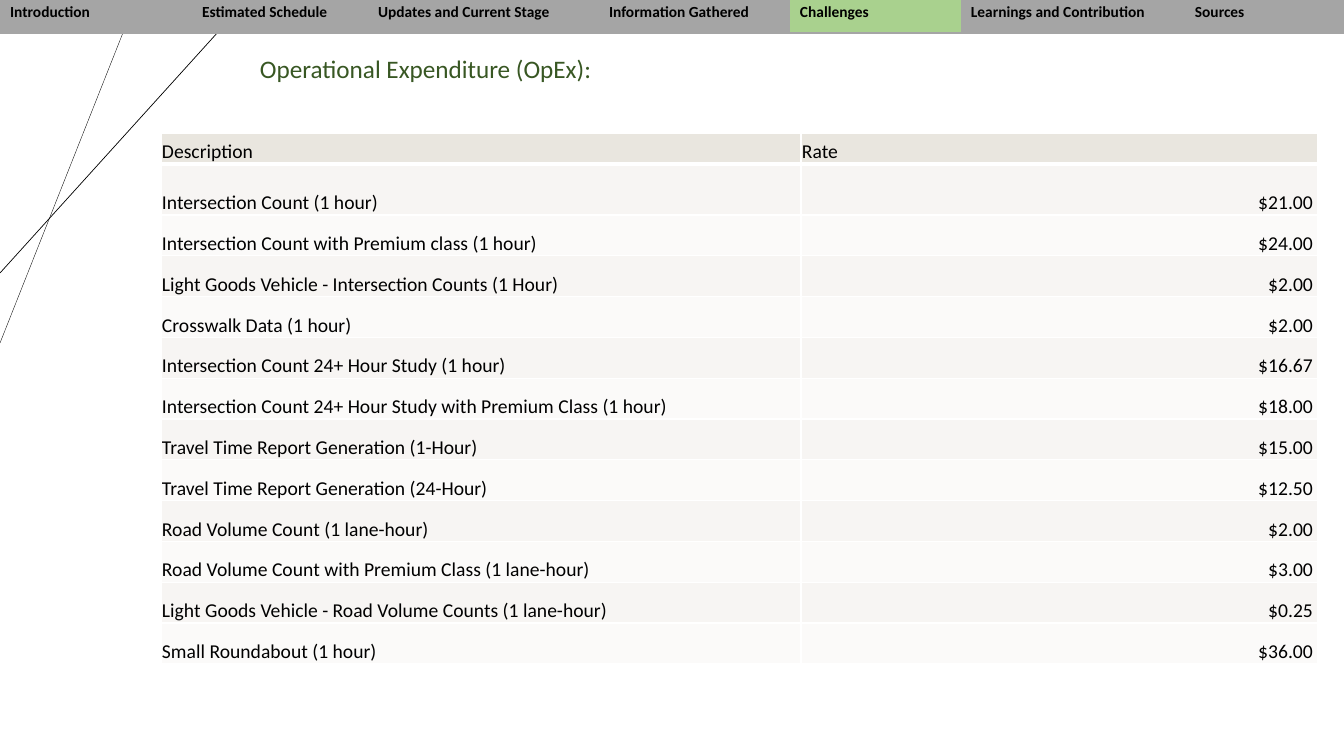
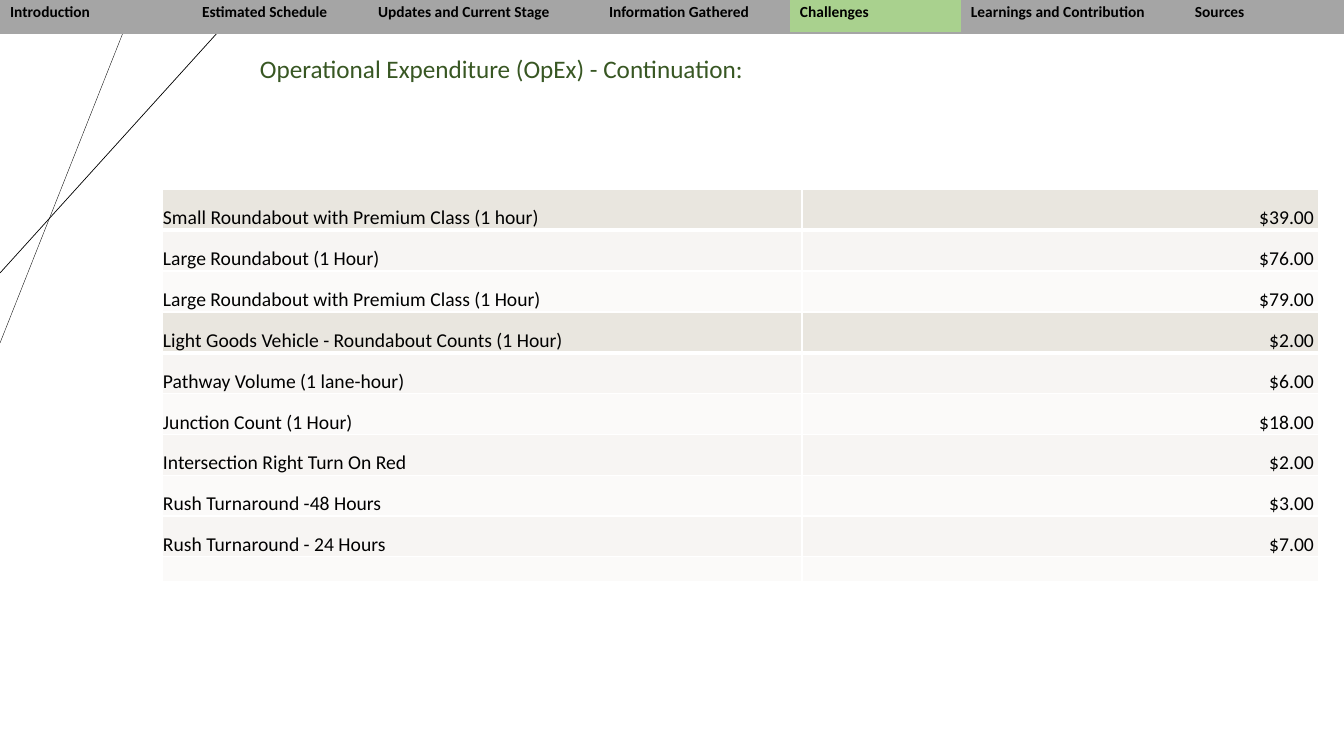
from lxml.etree import SubElement
from pptx import Presentation
from pptx.dml.color import RGBColor
from pptx.enum.shapes import MSO_CONNECTOR
from pptx.enum.text import MSO_ANCHOR, PP_ALIGN
from pptx.oxml.ns import qn
from pptx.util import Pt

PX = 914400 / 100.8
FONT = "Calibri"
BLACK, WHITE, GREEN = "000000", "FFFFFF", "385723"
BAR, ACTIVE = "A5A5A5", "A9D18E"
HEADER, BANDS = "E9E6DF", ("F7F5F3", "FBFAF9")
NAV = [("Introduction", 192), ("Estimated Schedule", 176),
       ("Updates and Current Stage", 231), ("Information Gathered", 191),
       ("Challenges", 171), ("Learnings and Contribution", 224), ("Sources", 160)]
COLUMNS = (640, 517)

OPEX = [
    ("Description", "Rate"),
    ("Intersection Count (1 hour)", "$21.00"),
    ("Intersection Count with Premium class (1 hour)", "$24.00"),
    ("Light Goods Vehicle - Intersection Counts (1 Hour)", "$2.00"),
    ("Crosswalk Data (1 hour)", "$2.00"),
    ("Intersection Count 24+ Hour Study (1 hour)", "$16.67"),
    ("Intersection Count 24+ Hour Study with Premium Class (1 hour)", "$18.00"),
    ("Travel Time Report Generation (1-Hour)", "$15.00"),
    ("Travel Time Report Generation (24-Hour)", "$12.50"),
    ("Road Volume Count (1 lane-hour)", "$2.00"),
    ("Road Volume Count with Premium Class (1 lane-hour)", "$3.00"),
    ("Light Goods Vehicle - Road Volume Counts (1 lane-hour)", "$0.25"),
    ("Small Roundabout (1 hour)", "$36.00"),
]
ROUNDABOUTS = [
    ("Small Roundabout with Premium Class (1 hour)", "$39.00"),
    ("Large Roundabout (1 Hour)", "$76.00"),
    ("Large Roundabout with Premium Class (1 Hour)", "$79.00"),
]
OTHER_COUNTS = [
    ("Light Goods Vehicle - Roundabout Counts (1 Hour)", "$2.00"),
    ("Pathway Volume (1 lane-hour)", "$6.00"),
    ("Junction Count (1 Hour)", "$18.00"),
    ("Intersection Right Turn On Red", "$2.00"),
    ("Rush Turnaround -48 Hours", "$3.00"),
    ("Rush Turnaround - 24 Hours", "$7.00"),
    ("", ""),
]


def px(value):
    """Turn px into EMU."""
    return round(value * PX)


def rgb(value):
    """Turn a hex string into a colour."""
    return RGBColor.from_string(value)


def add_run(p, text, size, color=BLACK, bold=False):
    """Add one styled run to a paragraph."""
    r = p.add_run()
    r.text = text
    r.font.name, r.font.size, r.font.bold = FONT, Pt(size), bold
    r.font.color.rgb = rgb(color)


def style_cell(cell, fill, color, widths):
    """Set the left, right, top and bottom borders, then the fill."""
    tcPr = cell._tc.get_or_add_tcPr()
    for side, width in zip("LRTB", widths):
        ln = SubElement(tcPr, qn(f"a:ln{side}"), w=str(Pt(width)))
        if width:
            SubElement(SubElement(ln, qn("a:solidFill")), qn("a:srgbClr"), val=color)
        else:
            SubElement(ln, qn("a:noFill"))
    cell.fill.solid()
    cell.fill.fore_color.rgb = rgb(fill)


def add_grid(slide, x, y, widths, heights):
    """Add a plain table with the given column widths and row heights."""
    tbl = slide.shapes.add_table(len(heights), len(widths), px(x), px(y),
                                 px(sum(widths)), px(sum(heights))).table
    tbl.first_row = tbl.horz_banding = False
    for col, width in zip(tbl.columns, widths):
        col.width = px(width)
    for row, height in zip(tbl.rows, heights):
        row.height = px(height)
    return tbl


def add_rates(slide, x, y, rows, heights):
    """Add a table of descriptions and rates with a header row and bands."""
    tbl = add_grid(slide, x, y, COLUMNS, heights)
    for i, row in enumerate(rows):
        fill = BANDS[(i - 1) % 2] if i else HEADER
        widths = (1, 1, 3 if i == 1 else 1, 1 if i else 3)
        for j, text in enumerate(row):
            cell = tbl.cell(i, j)
            style_cell(cell, fill, WHITE, widths)
            cell.vertical_anchor = MSO_ANCHOR.BOTTOM
            is_rate = text.startswith("$")
            cell.margin_left = cell.margin_top = px(1)
            cell.margin_right = px(5 if is_rate else 1)
            cell.margin_bottom = 0
            p = cell.text_frame.paragraphs[0]
            p.alignment = PP_ALIGN.RIGHT if is_rate else PP_ALIGN.LEFT
            if text:
                add_run(p, text, 14)
            else:
                p._p.get_or_add_endParaRPr().set("sz", "1400")


def add_nav(slide, x, y, active):
    """Add the navigation bar with the active section marked."""
    names, widths = zip(*NAV)
    tbl = add_grid(slide, x, y, widths, [35])
    for j, name in enumerate(names):
        cell = tbl.cell(0, j)
        borders = (int(j == 0), int(j == len(names) - 1), 1, 1)
        style_cell(cell, ACTIVE if name == active else BAR, BAR, borders)
        add_run(cell.text_frame.paragraphs[0], name, 11, bold=True)


def add_corner_lines(slide, x, y):
    """Add the two thin lines that cross in the corner."""
    for dx, dy, width in ((136, 343, 0.25), (247, 273, 0.5)):
        line = slide.shapes.add_connector(MSO_CONNECTOR.STRAIGHT, px(x + dx), px(y),
                                          px(x), px(y + dy))
        line.line.color.rgb = rgb(BLACK)
        line.line.width = Pt(width)
        SubElement(line._element.spPr, qn("a:effectLst"))


def add_title(slide, x, y, w, h, text):
    """Add the slide title."""
    tf = slide.shapes.add_textbox(px(x), px(y), px(w), px(h)).text_frame
    tf.word_wrap = True
    add_run(tf.paragraphs[0], text, 18, GREEN)


def add_opex_slide(prs, title, tables):
    """Add a slide with corner lines, title, rate tables and navigation."""
    slide = prs.slides.add_slide(prs.slide_layouts[6])
    add_corner_lines(slide, 0, 0)
    add_title(slide, 250, 48, 845, 41, title)
    for table in tables:
        add_rates(slide, *table)
    add_nav(slide, 0, -2, "Challenges")


def main():
    """Build and save the presentation."""
    prs = Presentation()
    prs.slide_width, prs.slide_height = px(1344), px(756)
    add_opex_slide(prs, "Operational Expenditure (OpEx):",
                   [(161, 133, OPEX, [31, 51] + [449 / 11] * 11)])
    add_opex_slide(prs, "Operational Expenditure (OpEx) - Continuation:",
                   [(162, 312, OTHER_COUNTS, [245 / 6] * 6 + [24]),
                    (162, 189, ROUNDABOUTS, [41] * 3)])
    prs.save("out.pptx")


if __name__ == "__main__":
    main()
